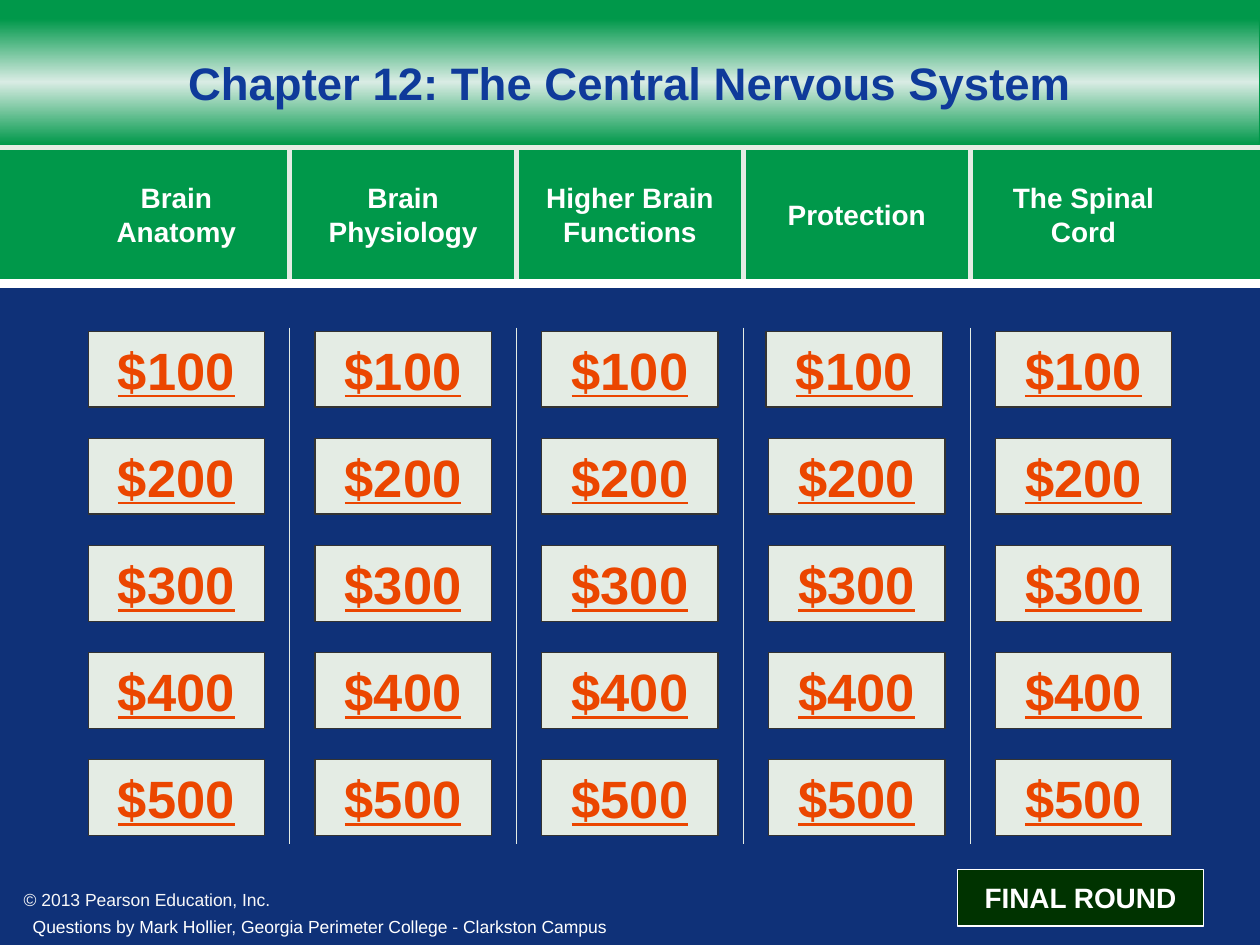
from copy import deepcopy

from pptx import Presentation
from pptx.dml.color import RGBColor
from pptx.enum import shapes, text
from pptx.oxml import ns, xmlchemy
from pptx.util import Pt

COLORS = {
    "green": "00984A",
    "mint": "D9ECE4",
    "navy": "0F3178",
    "title": "0F3A9A",
    "pale": "E4ECE4",
    "border": "333333",
    "orange": "EB4600",
    "dark": "003300",
    "credit": "F8F8F8",
    "white": "FFFFFF",
}
RGB = {name: RGBColor.from_string(value) for name, value in COLORS.items()}
LEFT, STEP, WIDTH = 50.4, 129.6, 100.8
CATEGORIES = ["Brain Anatomy", "Brain Physiology", "Higher Brain Functions", "Protection", "The Spinal Cord"]

presentation = Presentation()
presentation.slide_width, presentation.slide_height = Pt(720), Pt(540)
slide = presentation.slides.add_slide(presentation.slide_layouts[6])
slide.background.fill.solid()
slide.background.fill.fore_color.rgb = RGB["green"]


def add_text(content, at, size, color="white", bold=True, underline=None, fill=None, line=None,
             align="CENTER", anchor="MIDDLE", inset=(0, 0), wrap=True):
    position = [Pt(value) for value in at]
    if fill:
        shape = slide.shapes.add_shape(shapes.MSO_SHAPE.RECTANGLE, *position)
        shape.shadow.inherit = False
        shape.fill.solid()
        shape.fill.fore_color.rgb = RGB[fill]
        shape.line.color.rgb = RGB[line]
        shape.line.width = Pt(0.75)
    else:
        shape = slide.shapes.add_textbox(*position)
    frame = shape.text_frame
    frame.word_wrap = wrap
    frame.vertical_anchor = text.MSO_ANCHOR[anchor]
    frame.margin_left = frame.margin_right = Pt(inset[0])
    frame.margin_top = frame.margin_bottom = Pt(inset[1])
    paragraph = frame.paragraphs[0]
    paragraph.alignment = text.PP_ALIGN[align]
    run = paragraph.add_run()
    run.text = content
    run.font.name = "Arial"
    run.font.size = Pt(size)
    run.font.bold = bold
    run.font.underline = underline
    run.font.color.rgb = RGB[color]


def add_line(x1, y1, x2, y2, width, color="pale"):
    line = slide.shapes.add_connector(shapes.MSO_CONNECTOR.STRAIGHT, Pt(x1), Pt(y1), Pt(x2), Pt(y2))
    line.line.color.rgb = RGB[color]
    line.line.width = Pt(width)
    line._element.spPr.append(xmlchemy.OxmlElement("a:effectLst"))


board = slide.shapes.add_shape(shapes.MSO_SHAPE.RECTANGLE, 0, Pt(162), Pt(720), Pt(378))
banner = slide.shapes.add_shape(shapes.MSO_SHAPE.RECTANGLE, 0, Pt(10.8), Pt(719.3), Pt(72))
for panel in (board, banner):
    panel.shadow.inherit = False
    panel.line.fill.background()
board.fill.solid()
board.fill.fore_color.rgb = RGB["navy"]

banner.fill.gradient()
banner.fill.gradient_angle = 90
stops = banner._element.spPr.find(ns.qn("a:gradFill")).find(ns.qn("a:gsLst"))
stops.insert(1, deepcopy(stops[0]))
for stop, position, color in zip(banner.fill.gradient_stops, (0, 0.5, 1), ("green", "mint", "green")):
    stop.position = position
    stop.color.rgb = RGB[color]

add_line(0, 84.2, 720, 84.2, 3)
for column in range(4):
    x = 165.6 + column * STEP
    add_line(x, 82.8, x, 162, 3)
    add_line(x, 187.2, x, 482.4, 0.5)
add_line(0, 162, 720, 162, 5, "white")

add_text("Chapter 12: The Central Nervous System", (14.4, 18, 691.2, 57.6), 26, "title")

for column, category in enumerate(CATEGORIES):
    x = LEFT + column * STEP
    add_text(category, (x, 90, WIDTH, 64.8), 16)
    for row in range(5):
        nudge = -1.4 if (column, row) == (3, 0) else 0
        add_text(f"${(row + 1) * 100}", (x + nudge, 189.4 + row * 61.2, WIDTH, 43.2), 30, "orange",
                 underline=True, fill="pale", line="border")

add_text("FINAL ROUND", (547.2, 496.8, 140.4, 32.4), 16, fill="dark", line="white", wrap=False)
add_text("© 2013 Pearson Education, Inc.", (6.5, 504.7, 160, 19.4), 10, "credit", bold=False,
         align="LEFT", anchor="TOP", inset=(7.2, 3.6), wrap=False)
add_text("Questions by Mark Hollier, Georgia Perimeter College - Clarkston Campus",
         (10.8, 519.8, 342.7, 19.4), 10, bold=False,
         align="RIGHT", anchor="TOP", inset=(7.2, 3.6), wrap=False)

presentation.save("out.pptx")
